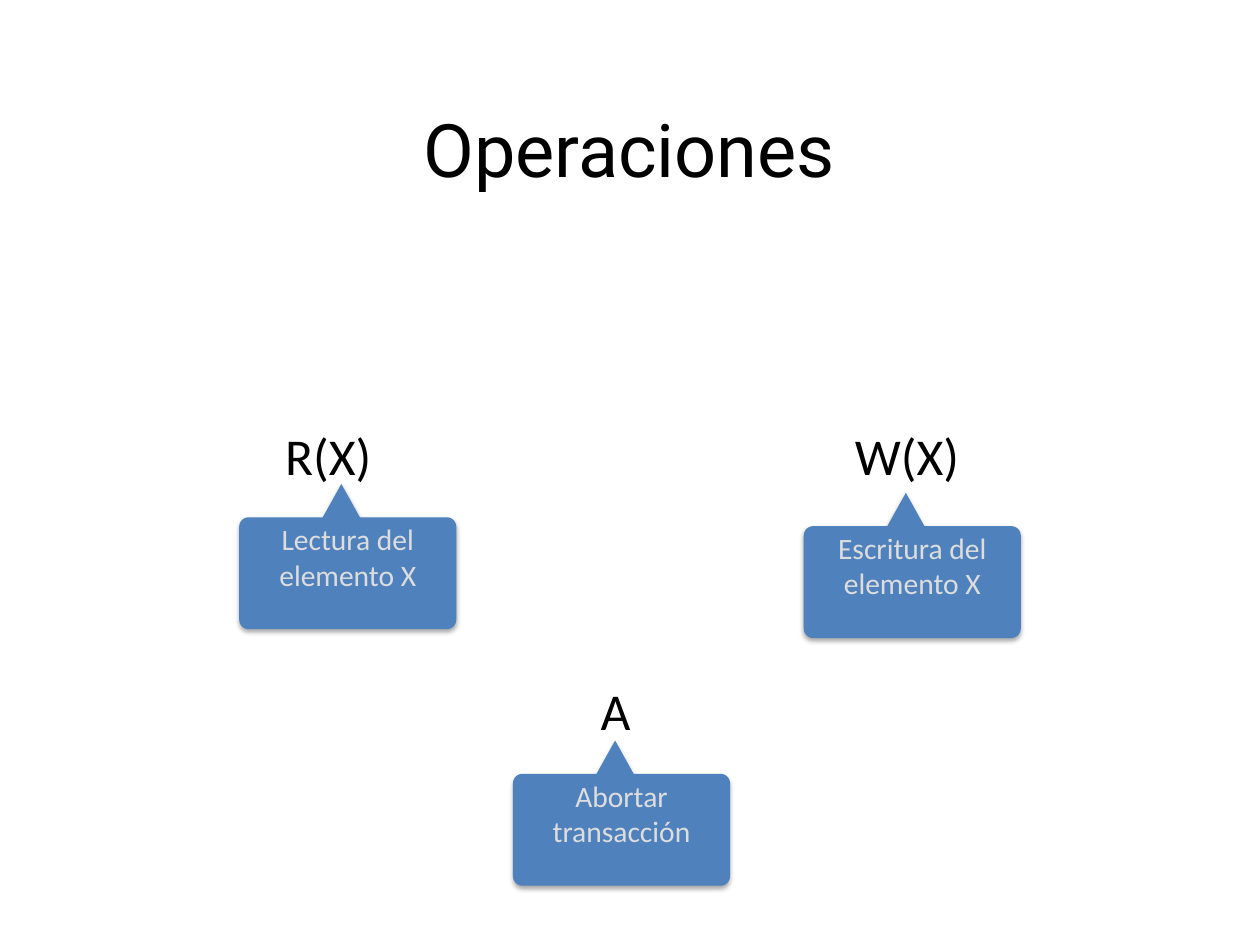
from math import cos, radians, sin

from lxml import etree
from pptx import Presentation
from pptx.dml.color import RGBColor
from pptx.enum.text import MSO_ANCHOR, PP_ALIGN
from pptx.oxml.ns import qn
from pptx.util import Pt

BLACK = RGBColor(0x00, 0x00, 0x00)
BLUE = RGBColor(0x4F, 0x81, 0xBD)
LIGHT_GRAY = RGBColor(0xDD, 0xDD, 0xDD)

LEFT, CENTER = PP_ALIGN.LEFT, PP_ALIGN.CENTER
TOP, MIDDLE = MSO_ANCHOR.TOP, MSO_ANCHOR.MIDDLE

TITLE = {"name": "Roboto", "size": Pt(60)}
LABEL = {"name": "Calibri", "size": Pt(42)}
CALLOUT = {"name": "Calibri", "size": Pt(24)}

# Callout outline, in points
WIDTH, HEIGHT = 176.4, 118
BODY_TOP, RADIUS = 27.1, 7.7
TIP_X, TIP_HALF_WIDTH = 83, 15.1
ARC_STEP = 10


def callout_outline():
    """Points after the tip, counterclockwise around the rounded body."""
    near_x, far_x = RADIUS, WIDTH - RADIUS
    near_y, far_y = BODY_TOP + RADIUS, HEIGHT - RADIUS
    corners = [(near_x, near_y, 270), (near_x, far_y, 180),
               (far_x, far_y, 90), (far_x, near_y, 0)]
    points = [(TIP_X - TIP_HALF_WIDTH, BODY_TOP)]
    for x, y, start in corners:
        for turn in range(0, 91, ARC_STEP):
            angle = radians(start - turn)
            points.append((x + RADIUS * cos(angle), y + RADIUS * sin(angle)))
    points.append((TIP_X + TIP_HALF_WIDTH, BODY_TOP))
    return [(Pt(x), Pt(y)) for x, y in points]


class SlideBuilder:
    def __init__(self, slide):
        self.slide = slide

    def fill_text(self, shape, text, style, color, inset, align, anchor):
        frame = shape.text_frame
        layout = {"word_wrap": True, "vertical_anchor": anchor}
        for side in ("left", "top", "right", "bottom"):
            layout["margin_" + side] = Pt(inset)
        for name, value in layout.items():
            setattr(frame, name, value)
        paragraph = frame.paragraphs[0]
        paragraph.alignment = align
        run = paragraph.add_run()
        run.text = text
        for name, value in style.items():
            setattr(run.font, name, value)
        run.font.color.rgb = color

    def text_box(self, text, box, style, inset, align=LEFT, anchor=TOP):
        shape = self.slide.shapes.add_textbox(*map(Pt, box))
        self.fill_text(shape, text, style, BLACK, inset, align, anchor)

    def callout(self, text, left, top):
        builder = self.slide.shapes.build_freeform(Pt(TIP_X), 0)
        builder.add_line_segments(callout_outline(), close=True)
        shape = builder.convert_to_shape(Pt(left), Pt(top))
        shape.fill.solid()
        shape.fill.fore_color.rgb = BLUE
        shape.line.fill.background()
        self.soft_shadow(shape)
        self.fill_text(shape, text, CALLOUT, LIGHT_GRAY, 5, CENTER, MIDDLE)

    def soft_shadow(self, shape):
        shape.shadow.inherit = False
        effects = shape.element.spPr.find(qn("a:effectLst"))
        shadow = etree.SubElement(
            effects, qn("a:outerShdw"), blurRad=str(Pt(4)), dist=str(Pt(2)),
            dir="5400000", rotWithShape="0")
        color = etree.SubElement(shadow, qn("a:srgbClr"), val=str(BLACK))
        etree.SubElement(color, qn("a:alpha"), val="34000")


def main():
    presentation = Presentation()
    presentation.slide_width = Pt(1024)
    presentation.slide_height = Pt(768)
    slide = presentation.slides.add_slide(presentation.slide_layouts[6])
    builder = SlideBuilder(slide)

    # Title
    builder.text_box("Operaciones", (113, 80.6, 797, 78.5), TITLE, 4.3,
                     CENTER, MIDDLE)

    # Operations: label, its box and inset, then callout text and position
    operations = [
        ("R(X)", (226.8, 339.8, 90, 58.3), 5,
         "Lectura del elemento X", 194.4, 393.3),
        ("W(X)", (689.8, 339.8, 101.5, 58.3), 5,
         "Escritura del elemento X", 653.2, 400.5),
        ("A", (481, 544.3, 62, 65.5), 7.2,
         "Abortar transacción", 416.9, 601.8),
    ]
    for label, box, inset, meaning, left, top in operations:
        builder.text_box(label, box, LABEL, inset)
        builder.callout(meaning, left, top)

    presentation.save("out.pptx")


if __name__ == "__main__":
    main()
